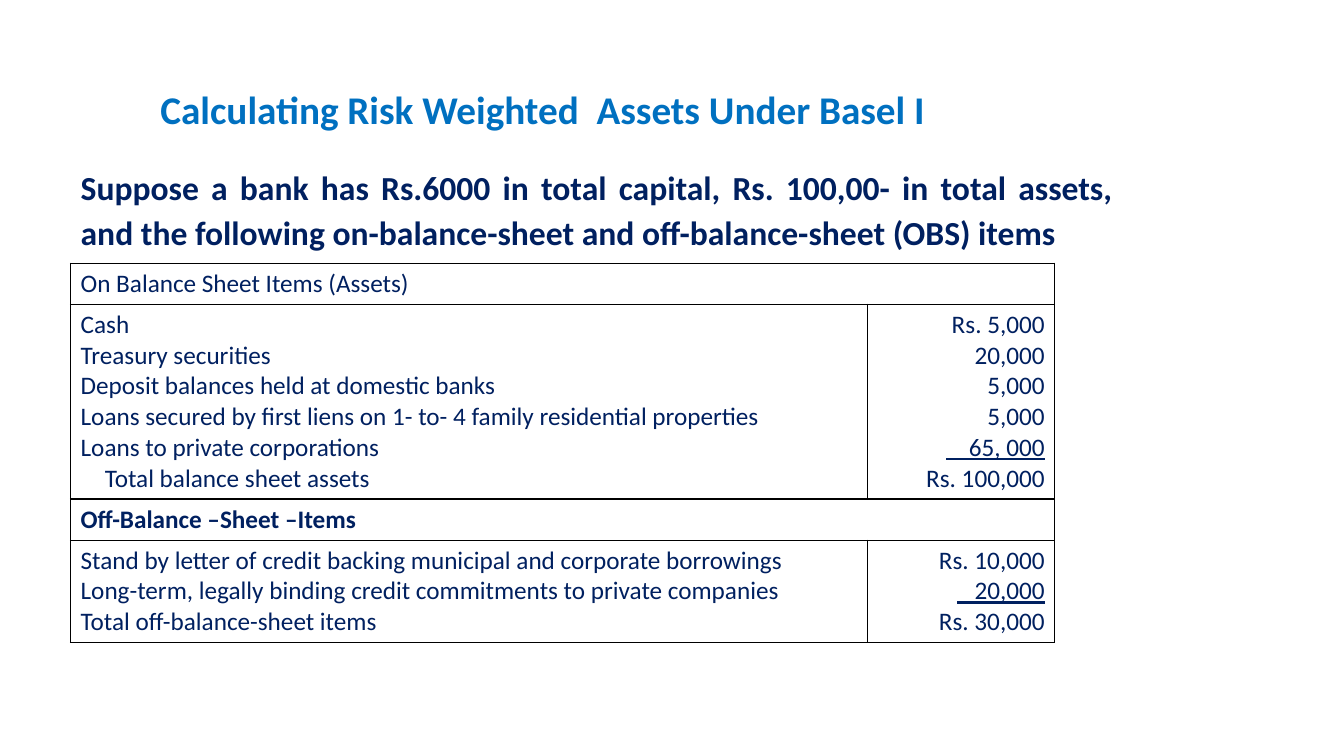
from dataclasses import dataclass

from lxml.etree import SubElement
from pptx import Presentation
from pptx.dml.color import RGBColor
from pptx.enum.text import MSO_ANCHOR as Anchor, MSO_AUTO_SIZE as AutoSize, PP_ALIGN as Align
from pptx.oxml.ns import qn
from pptx.util import Inches, Pt

GRID_COLUMNS, GRID_ROWS = 48, 27


@dataclass(frozen=True)
class Theme:
    font: str = "Calibri"
    heading: str = "0070C0"
    ink: str = "002060"
    paper: str = "FFFFFF"
    rule: str = "000000"
    heading_size: int = 28
    lead_size: int = 24
    table_size: int = 18
    rule_width: int = 1


def apply(target, values):
    for name, value in values.items():
        setattr(target, name, value)


class SlideBuilder:
    """Holds the theme and the current slide; lengths are grid columns and rows."""

    def __init__(self, deck, theme):
        self.theme = theme
        self.column = deck.slide_width / GRID_COLUMNS
        self.row = deck.slide_height / GRID_ROWS
        self.slide = deck.slides.add_slide(deck.slide_layouts[1])

    def across(self, columns):
        return round(columns * self.column)

    def down(self, rows):
        return round(rows * self.row)

    def set_text(self, paragraph, text, size, color, indent=0, layout=None, **font):
        properties = paragraph._p.get_or_add_pPr()
        properties.set("marL", str(self.across(indent)))
        properties.set("indent", "0")
        SubElement(properties, qn("a:buNone"))
        apply(paragraph, layout or {})
        run = paragraph.add_run()
        run.text = text
        apply(run.font, {"name": self.theme.font, "size": Pt(size), **font})
        run.font.color.rgb = RGBColor.from_string(color)

    def placeholder(self, index, place, anchor, text, size, color, **style):
        holder = self.slide.placeholders[index]
        left, top, width, height = place
        apply(holder, {"left": self.across(left), "top": self.down(top),
                       "width": self.across(width), "height": self.down(height)})
        apply(holder.text_frame, {"word_wrap": True, "auto_size": AutoSize.NONE,
                                  "vertical_anchor": anchor})
        self.set_text(holder.text_frame.paragraphs[0], text, size, color, bold=True, **style)

    def border(self, cell):
        properties = cell._tc.get_or_add_tcPr()
        for side in ("lnL", "lnR", "lnT", "lnB"):
            line = SubElement(properties, qn(f"a:{side}"), w=str(Pt(self.theme.rule_width)))
            fill = SubElement(line, qn("a:solidFill"))
            SubElement(fill, qn("a:srgbClr"), val=self.theme.rule)

    def fill_cell(self, cell, lines, align):
        for number, (text, style) in enumerate(lines):
            frame = cell.text_frame
            paragraph = frame.add_paragraph() if number else frame.paragraphs[0]
            self.set_text(paragraph, text, self.theme.table_size, self.theme.ink,
                          layout={"alignment": align}, **style)

    def table(self, left, top, widths, heights, sections):
        grid = self.slide.shapes.add_table(
            len(heights), len(widths), self.across(left), self.down(top),
            self.across(sum(widths)), self.down(sum(heights))).table
        apply(grid, {"first_row": False, "horz_banding": False})
        for column, width in zip(grid.columns, widths):
            column.width = self.across(width)
        for row, height in zip(grid.rows, heights):
            row.height = self.down(height)
        for cell in grid.iter_cells():
            self.border(cell)
            cell.fill.solid()
            cell.fill.fore_color.rgb = RGBColor.from_string(self.theme.paper)
        # Each section is a full-width heading row above a row of items
        for number, (heading, items) in enumerate(sections):
            heading_row, items_row = 2 * number, 2 * number + 1
            grid.cell(heading_row, 0).merge(grid.cell(heading_row, 1))
            self.fill_cell(grid.cell(heading_row, 0), [heading], Align.LEFT)
            labels, amounts = zip(*items)
            self.fill_cell(grid.cell(items_row, 0), labels, Align.LEFT)
            self.fill_cell(grid.cell(items_row, 1), amounts, Align.RIGHT)


PLAIN, BOLD, SUMMED = {}, {"bold": True}, {"underline": True}
TOTAL = {"indent": 0.86}

ON_BALANCE = (("On Balance Sheet Items (Assets)", PLAIN), [
    (("Cash", PLAIN), ("Rs. 5,000", PLAIN)),
    (("Treasury securities", PLAIN), ("20,000", PLAIN)),
    (("Deposit balances held at domestic banks", PLAIN), ("5,000", PLAIN)),
    (("Loans secured by first liens on 1- to- 4 family residential properties", PLAIN),
     ("5,000", PLAIN)),
    (("Loans to private corporations", PLAIN), ("    65, 000", SUMMED)),
    (("Total balance sheet assets", TOTAL), ("Rs. 100,000", PLAIN)),
])
OFF_BALANCE = (("Off-Balance –Sheet –Items", BOLD), [
    (("Stand by letter of credit backing municipal and corporate borrowings", PLAIN),
     ("Rs. 10,000", PLAIN)),
    (("Long-term, legally binding credit commitments to private companies", PLAIN),
     ("   20,000", SUMMED)),
    (("Total off-balance-sheet items", PLAIN), ("Rs. 30,000", PLAIN)),
])


def main():
    deck = Presentation()
    apply(deck, {"slide_width": Inches(13.33), "slide_height": Inches(7.5)})
    theme = Theme()
    page = SlideBuilder(deck, theme)

    # Title
    page.placeholder(0, (5.37, 2.7, 41.41, 2.59), Anchor.MIDDLE,
                     "Calculating Risk Weighted  Assets Under Basel I",
                     theme.heading_size, theme.heading,
                     layout={"alignment": Align.LEFT, "line_spacing": 0.9})

    # Problem statement
    page.placeholder(1, (1.62, 5.65, 38.49, 15.7), Anchor.TOP,
                     "Suppose a bank has Rs.6000 in total capital, Rs. 100,00- in total assets, "
                     "and the following on-balance-sheet and off-balance-sheet (OBS) items",
                     theme.lead_size, theme.ink, indent=0.9,
                     layout={"alignment": Align.JUSTIFY, "line_spacing": 1.1,
                             "space_before": Pt(0)})

    # Balance sheet table
    page.table(2.52, 9.4, (28.45, 6.7), (1.47, 6.95, 1.47, 3.66), (ON_BALANCE, OFF_BALANCE))

    deck.save("out.pptx")


if __name__ == "__main__":
    main()
